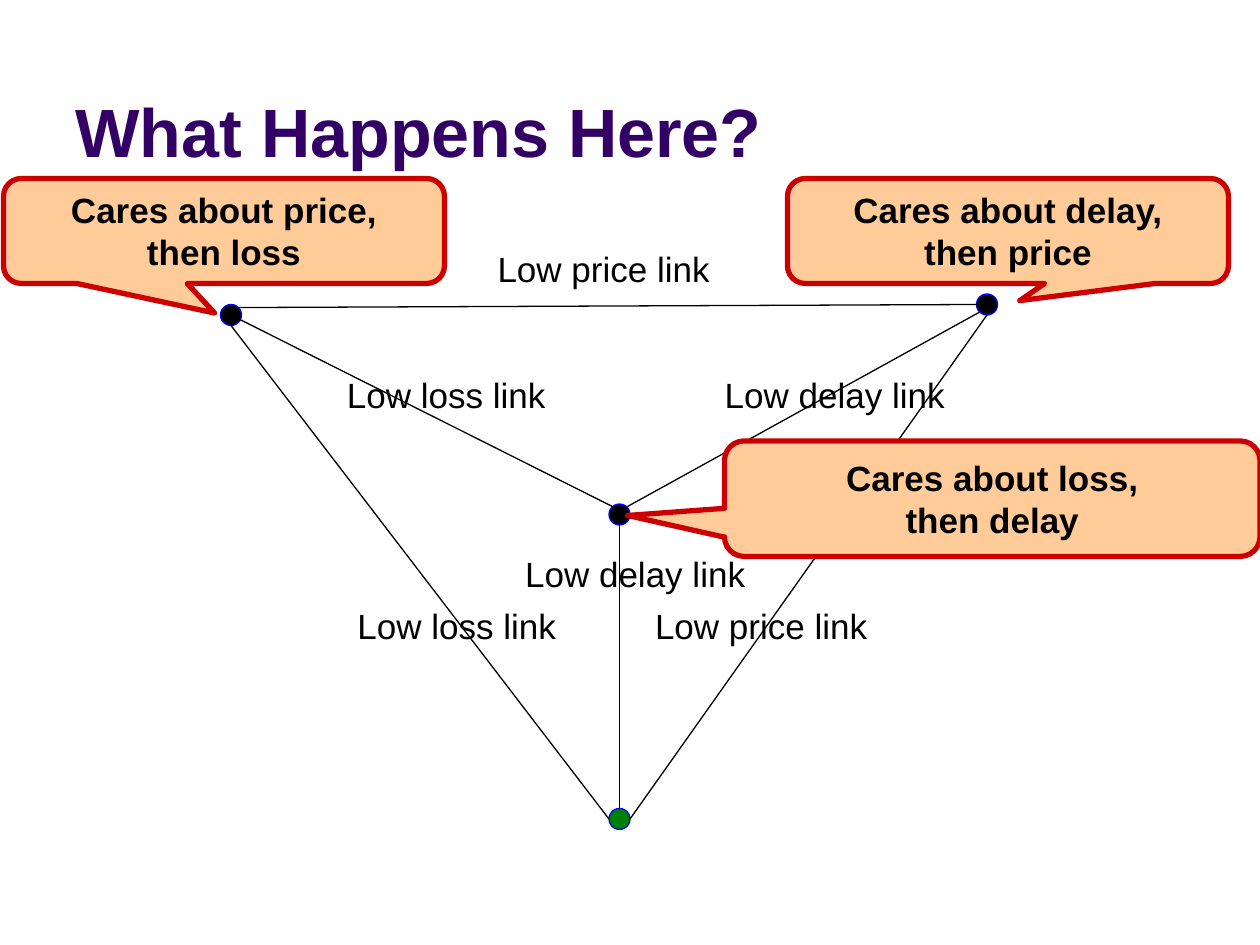
import pptx
import pptx.dml.color
import pptx.enum.shapes
import pptx.enum.text
import pptx.oxml.ns
import pptx.util
from lxml import etree

Pt = pptx.util.Pt
Kind = pptx.enum.shapes.MSO_SHAPE
Align = pptx.enum.text.PP_ALIGN
Anchor = pptx.enum.text.MSO_ANCHOR


class Page:
    """Hold the style and the current slide, and draw its elements."""

    font = "Arial"
    hues = {"title": "330066", "ink": "000000", "rim": "0000FF",
            "goal": "008000", "note": "FFCC99", "edge": "CC0000"}

    def __init__(self, slide):
        self.slide = slide

    def hue(self, name):
        return pptx.dml.color.RGBColor.from_string(self.hues[name])

    def words(self, frame, lines, size=20, bold=False, hue="ink", align=Align.CENTER):
        frame.text = "\n".join(lines)
        for para in frame.paragraphs:
            para.alignment = align
            para.font.name = self.font
            para.font.size = Pt(size)
            para.font.bold = bold
            para.font.color.rgb = self.hue(hue)

    def title(self, text, *box):
        shape = self.slide.shapes.title
        shape.left, shape.top, shape.width, shape.height = map(Pt, box)
        shape.text_frame.vertical_anchor = Anchor.BOTTOM
        self.words(shape.text_frame, [text], 39, True, "title", Align.LEFT)

    def shape(self, kind, box, fill, edge, width):
        shape = self.slide.shapes.add_shape(kind, *map(Pt, box))
        shape.shadow.inherit = False
        shape.fill.solid()
        shape.fill.fore_color.rgb = self.hue(fill)
        shape.line.color.rgb = self.hue(edge)
        shape.line.width = Pt(width)
        return shape

    def node(self, left, top, fill="ink"):
        self.shape(Kind.OVAL, (left, top, 12, 12), fill, "rim", 0.75)

    def link(self, *ends):
        line = self.slide.shapes.add_connector(
            pptx.enum.shapes.MSO_CONNECTOR.STRAIGHT, *map(Pt, ends))
        line.line.color.rgb = self.hue("ink")
        line.line.width = Pt(0.75)
        etree.SubElement(line._element.spPr, pptx.oxml.ns.qn("a:effectLst"))

    def label(self, text, left, top):
        box = self.slide.shapes.add_textbox(Pt(left), Pt(top), Pt(234), Pt(31.5))
        box.text_frame.word_wrap = True
        box.text_frame.auto_size = pptx.enum.text.MSO_AUTO_SIZE.SHAPE_TO_FIT_TEXT
        self.words(box.text_frame, [text])

    def note(self, lines, box, tip):
        shape = self.shape(Kind.ROUNDED_RECTANGULAR_CALLOUT, box, "note", "edge", 3)
        left, top, width, height = box
        shape.adjustments[0] = (tip[0] - left) / width - 0.5
        shape.adjustments[1] = (tip[1] - top) / height - 0.5
        shape.adjustments[2] = 0.17
        shape.text_frame.word_wrap = False
        shape.text_frame.vertical_anchor = Anchor.MIDDLE
        self.words(shape.text_frame, lines, bold=True)


def main():
    deck = pptx.Presentation()
    deck.slide_width, deck.slide_height = Pt(720), Pt(540)
    page = Page(deck.slides.add_slide(deck.slide_layouts[5]))
    page.title("What Happens Here?", 36, 9.5, 648, 92)

    for spot in ((126, 174), (348, 288), (558, 168), (348, 462, "goal")):
        page.node(*spot)

    for ends in ((132, 180, 350, 289.5), (136, 175.75, 559.5, 174),
                 (358.5, 289.5, 559.5, 178.5), (354, 294, 354, 462),
                 (132, 186, 348, 468), (564, 180, 360, 468)):
        page.link(*ends)

    for word, left, top in (("price", 228, 138), ("loss", 144, 342),
                            ("delay", 360, 210), ("loss", 138, 210),
                            ("delay", 246, 312), ("price", 318, 342)):
        page.label(f"Low {word} link", left, top)

    for first, then, box, tip in (
            ("price", "loss", (2, 102, 252, 60), (122.75, 178.9)),
            ("delay", "price", (450, 102, 252, 60), (582.75, 171.8)),
            ("loss", "delay", (414, 252, 306, 66), (358.6, 294.6))):
        page.note([f"Cares about {first},", f"then {then}"], box, tip)

    deck.save("out.pptx")


if __name__ == "__main__":
    main()
